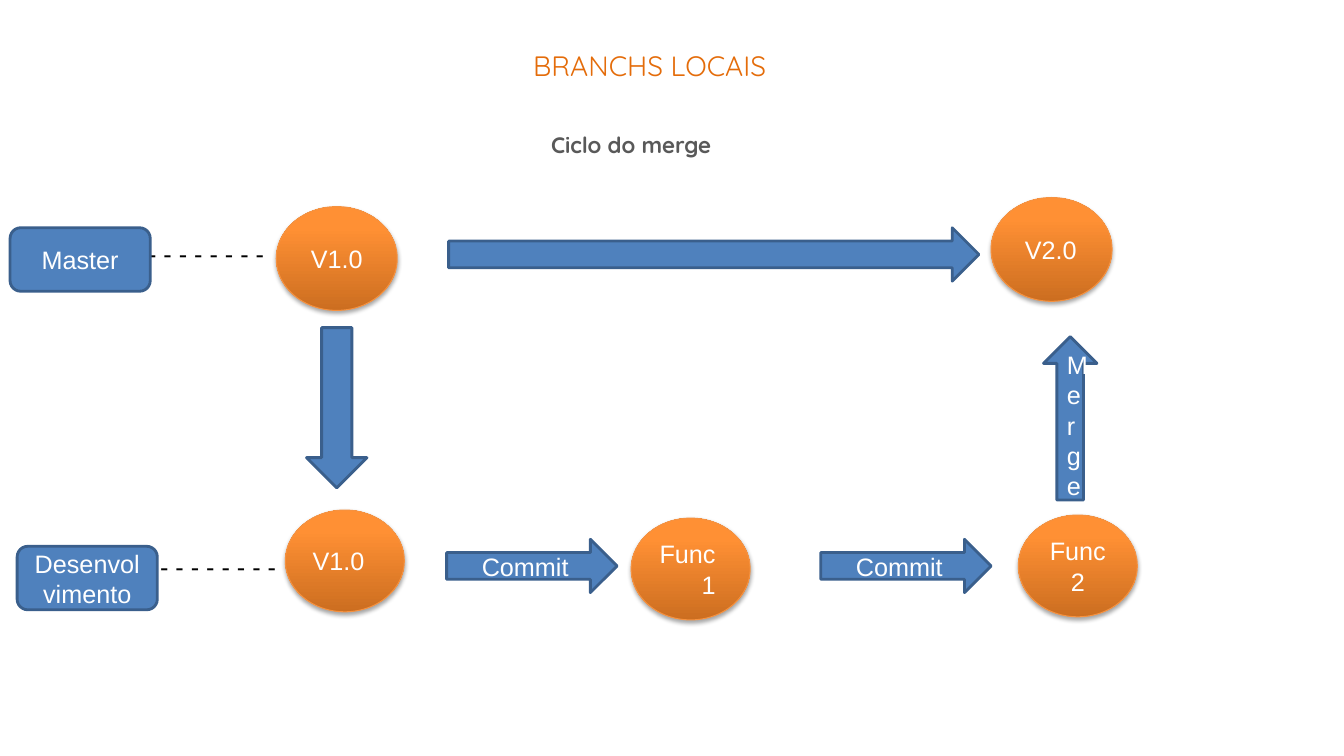
import copy
from typing import NamedTuple

import pptx
import pptx.dml.color
import pptx.enum.shapes
import pptx.enum.text
import pptx.oxml
import pptx.oxml.ns
import pptx.util

EMU_PER_PX = 9144  # 100 px to the inch
SHAPE = pptx.enum.shapes.MSO_SHAPE
ALIGN = pptx.enum.text.PP_ALIGN
ANCHOR = pptx.enum.text.MSO_ANCHOR

BLUE, NAVY, ORANGE = "4F81BD", "3A5F8C", "F69240"
WHITE, BLACK, GREY, TITLE_ORANGE = "FFFFFF", "000000", "595959", "E46C0A"
VERSION_GRADIENT = ((0, "CC6E20"), (0.8, "FF9034"), (1, "FF9136"))
VERSION_SIZE, FEATURE_SIZE = (120, 103), (118, 101)
BRANCH_SIZE, COMMIT_SIZE = (139, 63), (169, 53)
DASHES = "- - - - - - - -"


class Block(NamedTuple):
    """A blue branch label or step arrow."""
    kind: SHAPE
    left: int
    top: int
    size: tuple[int, int]
    text: str = ""


class Version(NamedTuple):
    """An orange state of the code; the insets are at the left and right."""
    left: int
    top: int
    size: tuple[int, int]
    text: str
    align: ALIGN = ALIGN.CENTER
    insets: tuple[int, int] = (10, 10)


class Label(NamedTuple):
    left: int
    top: int
    size: tuple[int, int]
    text: str
    points: int = 18
    font: str = "Arial"
    color: str = BLACK
    bold: bool = False
    align: ALIGN = ALIGN.LEFT
    anchor: ANCHOR = ANCHOR.TOP
    spacing: float = 1.0


# Back to front: the branch name covers the first dash of its line.
ITEMS = (
    Label(519, 41, (400, 47), "BRANCHS LOCAIS", 20, "Quicksand", TITLE_ORANGE,
          anchor=ANCHOR.MIDDLE),
    Label(34, 112, (1184, 50), "Ciclo do merge", 16, "Quicksand", GREY,
          bold=True, align=ALIGN.CENTER, spacing=1.5),
    Label(137, 232, (146, 40), DASHES),
    Block(SHAPE.ROUNDED_RECTANGLE, 10, 226, BRANCH_SIZE, "Master"),
    Version(274, 205, VERSION_SIZE, "V1.0"),
    Block(SHAPE.RIGHT_ARROW, 445, 226, (526, 53)),
    Version(983, 196, VERSION_SIZE, "V2.0", ALIGN.LEFT, (16, 10)),
    Block(SHAPE.DOWN_ARROW, 304, 325, (60, 159)),
    Block(SHAPE.ROUNDED_RECTANGLE, 17, 542, BRANCH_SIZE, "Desenvolvimento"),
    Label(149, 542, (146, 40), DASHES),
    Version(283, 506, FEATURE_SIZE, "V1.0", ALIGN.LEFT),
    Block(SHAPE.RIGHT_ARROW, 443, 535, COMMIT_SIZE, "Commit"),
    Version(626, 514, FEATURE_SIZE, "Func 1", ALIGN.RIGHT, (0, 17)),
    Block(SHAPE.RIGHT_ARROW, 814, 535, COMMIT_SIZE, "Commit"),
    Version(1010, 511, FEATURE_SIZE, "Func 2"),
    Block(SHAPE.UP_ARROW, 1035, 334, (53, 162), "Merge"),
)


def px(length: int) -> pptx.util.Emu:
    return pptx.util.Emu(length * EMU_PER_PX)


def rgb(color: str) -> pptx.dml.color.RGBColor:
    return pptx.dml.color.RGBColor.from_string(color)


def bounds(item: Block | Version | Label) -> tuple[pptx.util.Emu, ...]:
    return tuple(px(length) for length in (item.left, item.top, *item.size))


def write(shape, text: str, points: int = 18, font: str = "Arial",
          color: str = WHITE, bold: bool = False, align: ALIGN = ALIGN.CENTER,
          anchor: ANCHOR = ANCHOR.MIDDLE, spacing: float = 1.0) -> None:
    frame = shape.text_frame
    frame.word_wrap = True
    frame.vertical_anchor = anchor
    frame.text = text
    paragraph = frame.paragraphs[0]
    paragraph.alignment = align
    paragraph.line_spacing = spacing
    for run in paragraph.runs:
        run.font.size = pptx.util.Pt(points)
        run.font.name = font
        run.font.bold = bold
        run.font.color.rgb = rgb(color)


def add_outlined(slide, kind: SHAPE, item: Block | Version, color: str,
                 width: float):
    shape = slide.shapes.add_shape(kind, *bounds(item))
    shape.shadow.inherit = False
    shape.line.color.rgb = rgb(color)
    shape.line.width = pptx.util.Pt(width)
    return shape


def draw_block(slide, block: Block) -> None:
    shape = add_outlined(slide, block.kind, block, NAVY, 2)
    shape.fill.solid()
    shape.fill.fore_color.rgb = rgb(BLUE)
    if block.text:
        write(shape, block.text)


def shade(shape) -> None:
    """Give the shape the version gradient, dark at the bottom."""
    shape.fill.gradient()
    shape.fill.gradient_angle = 90
    stop_list = shape._element.spPr.find(".//" + pptx.oxml.ns.qn("a:gsLst"))
    stop_list.append(copy.deepcopy(stop_list[-1]))
    for stop, (position, color) in zip(shape.fill.gradient_stops, VERSION_GRADIENT):
        stop.position = position
        stop.color.rgb = rgb(color)


def cast_shadow(shape) -> None:
    effects = shape._element.spPr.find(pptx.oxml.ns.qn("a:effectLst"))
    effects.append(pptx.oxml.parse_xml(
        f'<a:outerShdw {pptx.oxml.ns.nsdecls("a")} blurRad="40000" dist="23000" '
        'dir="5400000" rotWithShape="0"><a:srgbClr val="000000">'
        '<a:alpha val="35000"/></a:srgbClr></a:outerShdw>'))


def draw_version(slide, version: Version) -> None:
    shape = add_outlined(slide, SHAPE.OVAL, version, ORANGE, 0.75)
    shade(shape)
    cast_shadow(shape)
    frame = shape.text_frame
    frame.margin_left, frame.margin_right = map(px, version.insets)
    write(shape, version.text, align=version.align)


def draw_label(slide, label: Label) -> None:
    box = slide.shapes.add_textbox(*bounds(label))
    write(box, *label[3:])


def main() -> None:
    presentation = pptx.Presentation()
    presentation.slide_width, presentation.slide_height = px(1333), px(750)
    slide = presentation.slides.add_slide(presentation.slide_layouts[6])
    draw = {Block: draw_block, Version: draw_version, Label: draw_label}
    for item in ITEMS:
        draw[type(item)](slide, item)
    presentation.save("out.pptx")


if __name__ == "__main__":
    main()
